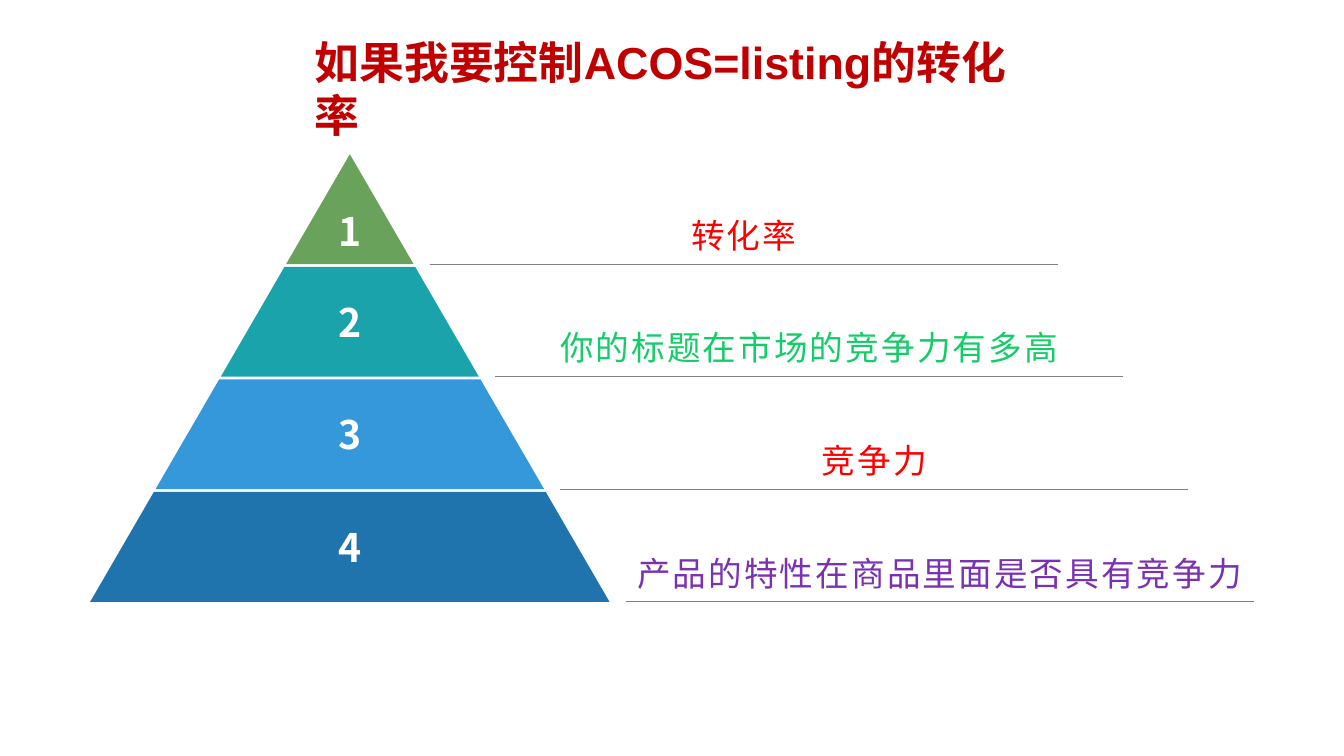
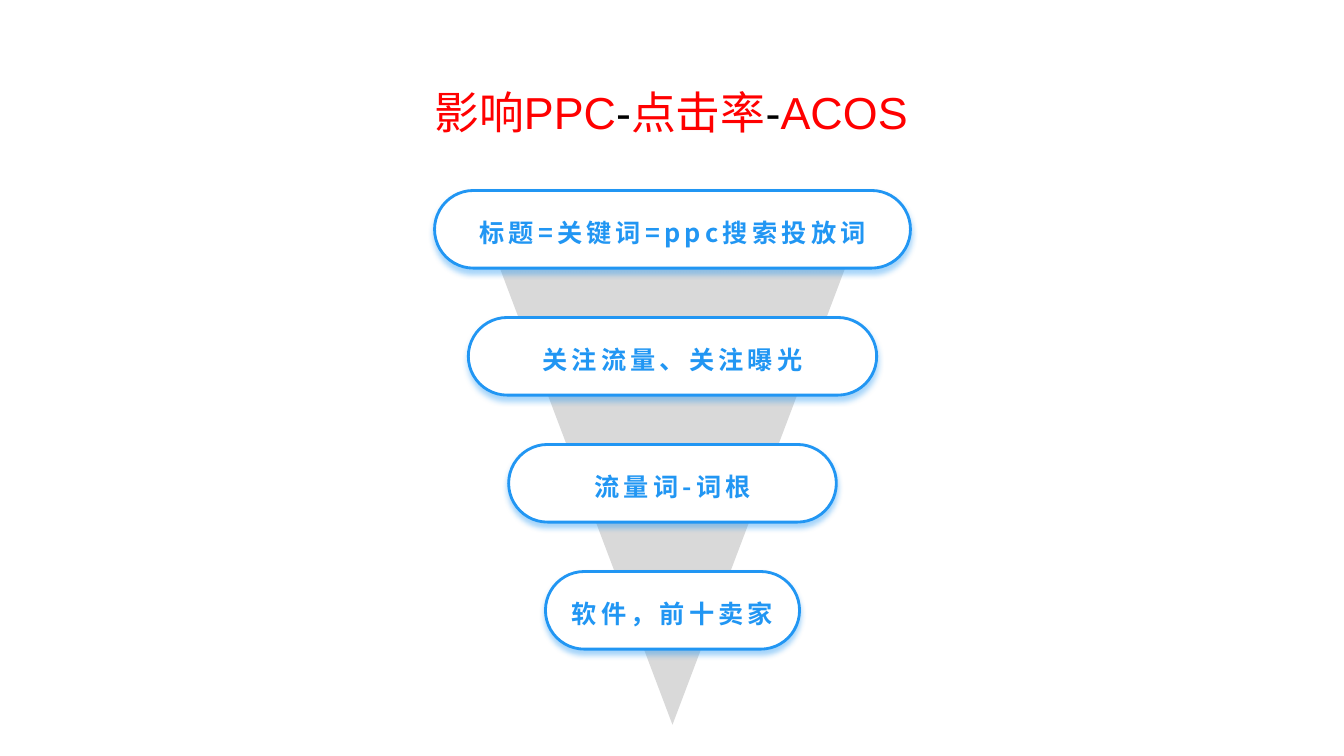
from lxml import etree
from pptx import Presentation
from pptx.dml.color import RGBColor
from pptx.enum.shapes import MSO_CONNECTOR, MSO_SHAPE
from pptx.enum.text import MSO_ANCHOR, MSO_AUTO_SIZE, PP_ALIGN
from pptx.oxml.ns import qn
from pptx.util import Inches, Pt

LINE = MSO_CONNECTOR.STRAIGHT
ROUND_RECT = MSO_SHAPE.ROUNDED_RECTANGLE
TOP, MIDDLE, BOTTOM = MSO_ANCHOR.TOP, MSO_ANCHOR.MIDDLE, MSO_ANCHOR.BOTTOM
LEFT, CENTER = PP_ALIGN.LEFT, PP_ALIGN.CENTER
NO_AUTOFIT = MSO_AUTO_SIZE.NONE

CJK, LATIN = "Noto Sans CJK SC", "Arial"
WHITE, BLACK, RED, DARK_RED = "FFFFFF", "000000", "FF0000", "C00000"
GRAY, LIGHT_GRAY, BLUE = "808080", "D9D9D9", "2196F3"
GREEN_FADE, PURPLE_FADE = ("14CD68", "0B6E38"), ("7B32B2", "401A5D")


def rgb(value):
    return RGBColor.from_string(value)


class Deck:
    def __init__(self):
        self.prs = Presentation()
        self.prs.slide_width = Inches(13.33)
        self.prs.slide_height = Inches(7.5)
        self.s = None

    def new_slide(self):
        self.s = self.prs.slides.add_slide(self.prs.slide_layouts[5])

    def add_text(self, sp, runs, size, font=CJK, bold=False, spacing=0,
                 align=CENTER, anchor=MIDDLE, line_spacing=1.0):
        tf = sp.text_frame
        tf.word_wrap = True
        tf.auto_size = NO_AUTOFIT
        tf.vertical_anchor = anchor
        p = tf.paragraphs[0]
        p.alignment = align
        p.line_spacing = line_spacing
        for text, color in runs:
            r = p.add_run()
            r.text = text
            r.font.size = Pt(size)
            r.font.bold = bold
            r.font.name = font
            rPr = r._r.get_or_add_rPr()
            etree.SubElement(rPr, qn("a:ea")).set("typeface", CJK)
            if spacing:
                rPr.set("spc", str(int(spacing * 100)))
            self.color_run(r, color)

    def color_run(self, r, color):
        if isinstance(color, str):
            r.font.color.rgb = rgb(color)
            return
        fill = r.font.fill
        fill.gradient()
        fill.gradient_angle = 0
        for stop, value in zip(fill.gradient_stops, color):
            stop.color.rgb = rgb(value)

    def margins(self, sp, left=0, top=0, right=0, bottom=0):
        tf = sp.text_frame
        tf.margin_left, tf.margin_top = Inches(left), Inches(top)
        tf.margin_right, tf.margin_bottom = Inches(right), Inches(bottom)

    def title(self, x, y, w, h, runs, **style):
        sp = self.s.shapes.title
        sp.left, sp.top, sp.width, sp.height = map(Inches, (x, y, w, h))
        self.margins(sp, 0.1, 0.05, 0.1)
        self.add_text(sp, runs, 32, font=LATIN, anchor=TOP, **style)

    def polygon(self, points, color):
        corners = [(Inches(x), Inches(y)) for x, y in dict.fromkeys(points)]
        builder = self.s.shapes.build_freeform(*corners[0])
        builder.add_line_segments(corners[1:], close=True)
        sp = builder.convert_to_shape()
        sp.shadow.inherit = False
        sp.fill.solid()
        sp.fill.fore_color.rgb = rgb(color)
        sp.line.fill.background()
        return sp

    def rule(self, x, y, w):
        line = self.s.shapes.add_connector(
            LINE, Inches(x), Inches(y), Inches(x + w), Inches(y))
        line.line.color.rgb = rgb(GRAY)
        line.line.width = Pt(0.5)
        etree.SubElement(line._element.spPr, qn("a:effectLst"))

    def label(self, x, y, w, h, text, color):
        sp = self.s.shapes.add_textbox(*map(Inches, (x, y, w, h)))
        self.add_text(sp, [(text, color)], 24, spacing=1.5, anchor=BOTTOM, line_spacing=1.2)

    def pill(self, x, y, w, h, text):
        sp = self.s.shapes.add_shape(ROUND_RECT, *map(Inches, (x, y, w, h)))
        sp.adjustments[0] = 0.5
        sp.fill.solid()
        sp.fill.fore_color.rgb = rgb(WHITE)
        sp.line.color.rgb = rgb(BLUE)
        sp.line.width = Pt(2)
        self.glow(sp)
        self.margins(sp)
        self.add_text(sp, [(text, BLUE)], 18, bold=True, spacing=3, line_spacing=1.2)

    def glow(self, sp):
        sp.shadow.inherit = False
        effects = sp._element.spPr.find(qn("a:effectLst"))
        shadow = etree.SubElement(effects, qn("a:outerShdw"))
        for key, value in (("blurRad", int(Pt(4))), ("dist", int(Pt(3))),
                           ("dir", 90 * 60000), ("algn", "t"), ("rotWithShape", 0)):
            shadow.set(key, str(value))
        color = etree.SubElement(shadow, qn("a:srgbClr"))
        color.set("val", BLUE)
        etree.SubElement(color, qn("a:alpha")).set("val", "40000")


def pyramid_slide(deck):
    deck.new_slide()
    deck.title(3.02, 0.29, 7.5, 0.64,
               [("如果我要控制ACOS=listing的转化率", DARK_RED)], bold=True, align=LEFT)
    center, apex, slope = 3.47, 1.53, 0.58
    band_height, pitch = 1.09, 3.35 / 3
    levels = [
        ("69A35B", "转化率", RED),
        ("1AA3AA", "你的标题在市场的竞争力有多高", GREEN_FADE),
        ("3498DB", "竞争力", RED),
        ("1F74AD", "产品的特性在商品里面是否具有竞争力", PURPLE_FADE),
    ]
    for i, (fill, text, color) in enumerate(levels):
        top = apex + i * pitch
        bottom = top + band_height
        half_top, half_bottom = (top - apex) * slope, (bottom - apex) * slope
        band = deck.polygon([
            (center - half_top, top), (center + half_top, top),
            (center + half_bottom, bottom), (center - half_bottom, bottom)], fill)
        deck.margins(band, top=0 if i else 0.42)
        deck.add_text(band, [(str(i + 1), WHITE)], 28, bold=True)
        x = center + half_bottom + 0.16
        deck.rule(x, bottom, 6.23)
        deck.label(x, bottom - 0.73, 6.23, 0.69, text, color)


def funnel_slide(deck):
    deck.new_slide()
    deck.title(0, 0.68, 13.31, 0.57,
               [("影响PPC", RED), ("-", BLACK), ("点击率", RED), ("-", BLACK), ("ACOS", RED)],
               line_spacing=1.2)
    center = 6.67
    deck.polygon([(center - 1.89, 2.19), (center + 1.89, 2.19), (center, 7.19)], LIGHT_GRAY)
    steps = [
        ("标题=关键词=ppc搜索投放词", 4.72),
        ("关注流量、关注曝光", 4.05),
        ("流量词-词根", 3.25),
        ("软件，前十卖家", 2.52),
    ]
    for i, (text, width) in enumerate(steps):
        deck.pill(center - width / 2, 1.89 + 1.26 * i, width, 0.77, text)


def main():
    deck = Deck()
    pyramid_slide(deck)
    funnel_slide(deck)
    deck.prs.save("out.pptx")


if __name__ == "__main__":
    main()
